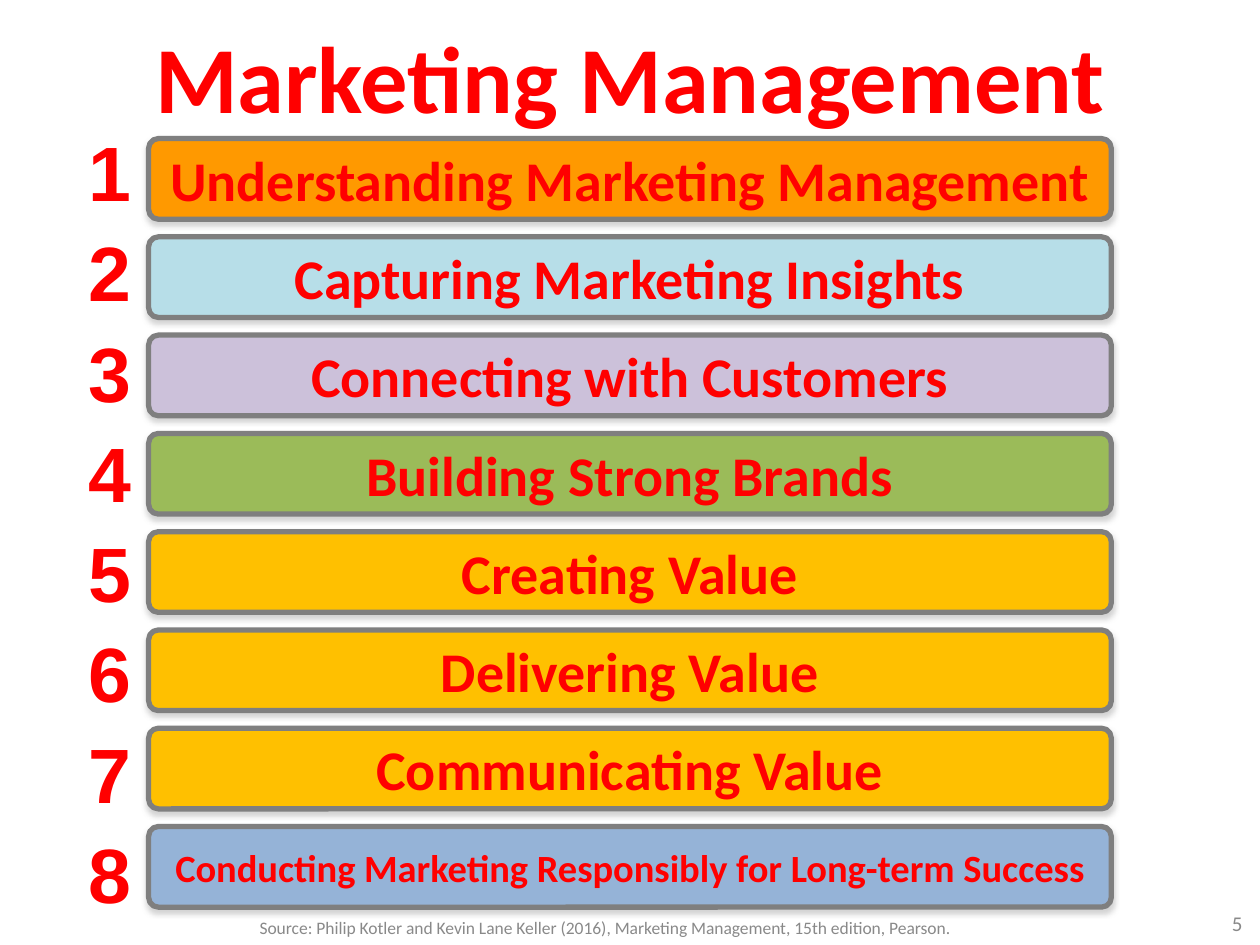
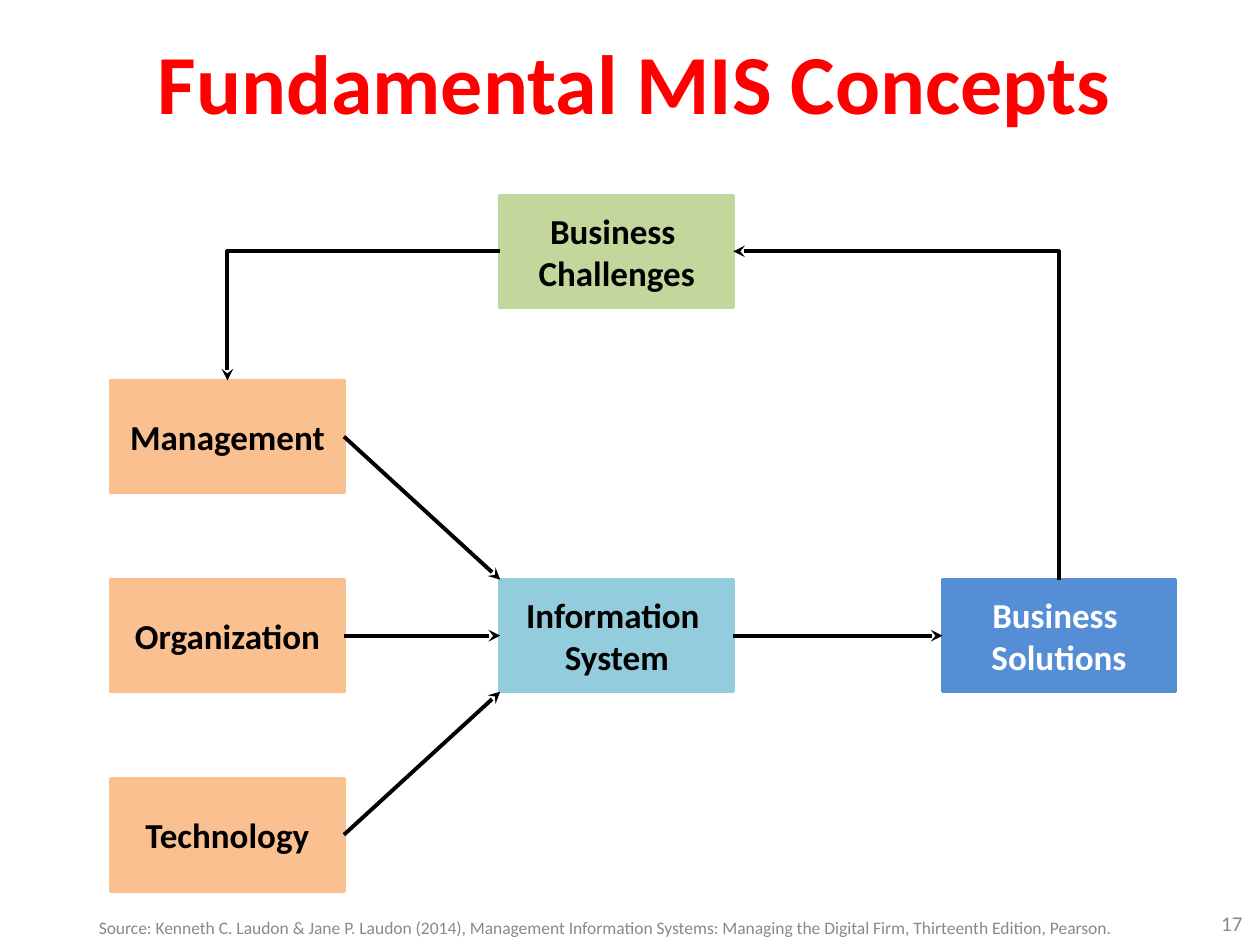
from dataclasses import dataclass

from lxml import etree
from pptx import Presentation
from pptx.dml.color import RGBColor
from pptx.enum.shapes import MSO_CONNECTOR, MSO_SHAPE
from pptx.enum.text import MSO_ANCHOR, MSO_AUTO_SIZE, PP_ALIGN
from pptx.oxml.ns import qn
from pptx.util import Inches, Pt

LEFT, CENTER, RIGHT = PP_ALIGN.LEFT, PP_ALIGN.CENTER, PP_ALIGN.RIGHT
TOP, MIDDLE = MSO_ANCHOR.TOP, MSO_ANCHOR.MIDDLE
NO_FIT, GROW = MSO_AUTO_SIZE.NONE, MSO_AUTO_SIZE.SHAPE_TO_FIT_TEXT
RECTANGLE, ROUNDED = MSO_SHAPE.RECTANGLE, MSO_SHAPE.ROUNDED_RECTANGLE
STRAIGHT, ELBOW = MSO_CONNECTOR.STRAIGHT, MSO_CONNECTOR.ELBOW
SITE_TOP, SITE_LEFT, SITE_RIGHT = 0, 1, 3

COLUMNS, ROWS = 100, 75
CELL = Inches(10) / COLUMNS
TITLE_ONLY = 5

RED, GRAY, BLACK, WHITE = "FF0000", "898989", "000000", "FFFFFF"
BAR_BORDER, SHADOW = "7F7F7F", "808080"
ORANGE, YELLOW, PEACH = "FF9900", "FFC000", "FAC090"
PALE_BLUE, LILAC, GREEN, STEEL = "B7DEE8", "CCC1DA", "9BBB59", "95B3D7"
AQUA, LIGHT_GREEN, BLUE = "93CDDD", "C3D69B", "558ED5"


@dataclass
class Box:
    left: float
    top: float
    width: float
    height: float

    @property
    def right(self):
        return self.left + self.width

    @property
    def bottom(self):
        return self.top + self.height

    @property
    def center(self):
        return self.left + self.width / 2

    @property
    def middle(self):
        return self.top + self.height / 2

    def lengths(self):
        return [cells(value) for value in (self.left, self.top, self.width, self.height)]


PAGE_NUMBER_BOX = Box(76.3, 71.3, 23.3, 4)
SOURCE_BOX = Box(5.1, 72.2, 85.8, 2.8)

PARTS = [
    ("Understanding Marketing Management", ORANGE, 32),
    ("Capturing Marketing Insights", PALE_BLUE, 32),
    ("Connecting with Customers", LILAC, 32),
    ("Building Strong Brands", GREEN, 32),
    ("Creating Value", YELLOW, 32),
    ("Delivering Value", YELLOW, 32),
    ("Communicating Value", YELLOW, 32),
    ("Conducting Marketing Responsibly for Long-term Success", STEEL, 22),
]


def cells(count):
    return round(count * CELL)


def color(hex_string):
    return RGBColor.from_string(hex_string)


def write(shape, text, size, hex_color, font="Calibri", bold=False, align=CENTER,
          anchor=MIDDLE, wrap=True, fit=NO_FIT, inset=None):
    frame = shape.text_frame
    frame.word_wrap = wrap
    frame.auto_size = fit
    frame.vertical_anchor = anchor
    if inset is not None:
        frame.margin_left = frame.margin_right = cells(inset)
        frame.margin_top = frame.margin_bottom = cells(inset)
    paragraph = frame.paragraphs[0]
    paragraph.text = text
    paragraph.alignment = align
    for run in paragraph.runs:
        run.font.name = font
        run.font.size = Pt(size)
        run.font.bold = bold
        run.font.color.rgb = color(hex_color)


def add_text(slide, box, text, **text_format):
    write(slide.shapes.add_textbox(*box.lengths()), text, **text_format)


def add_filled(slide, kind, box, fill, border, border_width):
    shape = slide.shapes.add_shape(kind, *box.lengths())
    shape.shadow.inherit = False
    shape.fill.solid()
    shape.fill.fore_color.rgb = color(fill)
    shape.line.color.rgb = color(border)
    shape.line.width = Pt(border_width)
    return shape


def add_shadow(shape):
    effects = shape._element.spPr.find(qn("a:effectLst"))
    outer = etree.SubElement(effects, qn("a:outerShdw"), blurRad=str(Pt(3.1)),
                             dist=str(Pt(1.8)), dir="5400000", rotWithShape="0")
    shade = etree.SubElement(outer, qn("a:srgbClr"), val=SHADOW)
    etree.SubElement(shade, qn("a:alpha"), val="35000")


def add_arrow(slide, start, end, kind=STRAIGHT, arrow_end="a:tailEnd"):
    connector = slide.shapes.add_connector(kind, *map(cells, (*start, *end)))
    connector.line.color.rgb = color(BLACK)
    connector.line.width = Pt(2.25)
    properties = connector._element.spPr
    etree.SubElement(properties.find(qn("a:ln")), qn(arrow_end), type="stealth")
    etree.SubElement(properties, qn("a:effectLst"))
    return connector


def add_corner_arrow(slide, side, top, side_site, arrow_end):
    side_shape, side_box = side
    top_shape, top_box = top
    edge = side_box.left if side_site == SITE_LEFT else side_box.right
    connector = add_arrow(slide, (edge, side_box.middle), (top_box.center, top_box.top),
                          ELBOW, arrow_end)
    connector._element.spPr.find(qn("a:prstGeom")).set("prst", "bentConnector2")
    connector.begin_connect(side_shape, side_site)
    connector.end_connect(top_shape, SITE_TOP)


def add_slide(presentation, title, title_box, title_size, page, source):
    slide = presentation.slides.add_slide(presentation.slide_layouts[TITLE_ONLY])
    heading = slide.shapes.title
    heading.left, heading.top, heading.width, heading.height = title_box.lengths()
    write(heading, title, size=title_size, hex_color=RED, bold=True)
    add_text(slide, PAGE_NUMBER_BOX, page, size=12, hex_color=GRAY, align=RIGHT)
    add_text(slide, SOURCE_BOX, source, size=10, hex_color=GRAY)
    return slide


def add_bars(slide, box):
    bar_height = 6.4
    pitch = (box.height - bar_height) / (len(PARTS) - 1)
    for index, (name, fill, size) in enumerate(PARTS):
        bar_box = Box(box.left, box.top + index * pitch, box.width, bar_height)
        bar = add_filled(slide, ROUNDED, bar_box, fill, BAR_BORDER, 3)
        bar.adjustments[0] = 0.12
        add_shadow(bar)
        write(bar, name, size=size, hex_color=RED, bold=True, inset=0)


def add_numbers(slide, box):
    number_height = 8.4
    pitch = (box.height - number_height) / (len(PARTS) - 1)
    for index in range(len(PARTS)):
        number_box = Box(box.left, box.top + index * pitch, box.width, number_height)
        add_text(slide, number_box, str(index + 1), size=44, hex_color=RED, font="Arial",
                 bold=True, align=LEFT, anchor=TOP, wrap=False, fit=GROW)


def add_concept_map(slide, box):
    node_width, node_height, pitch = 18.5, 8.9, 15.8
    columns = [box.left, box.left + 30.9, box.right - node_width]
    last_row = box.bottom - node_height
    rows = [box.top, last_row - 2 * pitch, last_row - pitch, last_row]

    def add_node(text, column, row, fill, text_color=BLACK):
        node_box = Box(columns[column], rows[row], node_width, node_height)
        node = add_filled(slide, RECTANGLE, node_box, fill, fill, 2)
        write(node, text, size=20, hex_color=text_color, bold=True, inset=0.4)
        return node, node_box

    management = add_node("Management", 0, 1, PEACH)
    organization = add_node("Organization", 0, 2, PEACH)
    technology = add_node("Technology", 0, 3, PEACH)
    system = add_node("Information \nSystem", 1, 2, AQUA)
    challenges = add_node("Business \nChallenges", 1, 0, LIGHT_GREEN)
    solutions = add_node("Business \nSolutions", 2, 2, BLUE, WHITE)

    system_box = system[1]
    targets = (system_box.top, system_box.middle, system_box.bottom)
    for (_, node_box), target in zip((management, organization, technology), targets):
        add_arrow(slide, (node_box.right, node_box.middle), (system_box.left, target))
    add_arrow(slide, (system_box.right, system_box.middle),
              (solutions[1].left, solutions[1].middle))
    add_corner_arrow(slide, challenges, solutions, SITE_RIGHT, "a:headEnd")
    add_corner_arrow(slide, challenges, management, SITE_LEFT, "a:tailEnd")


def main():
    presentation = Presentation()
    presentation.slide_width = cells(COLUMNS)
    presentation.slide_height = cells(ROWS)

    marketing = add_slide(
        presentation, "Marketing Management", Box(5, 2, 90, 8), 54, "5",
        "Source: Philip Kotler and Kevin Lane Keller (2016), Marketing Management, "
        "15th edition, Pearson.")
    add_bars(marketing, Box(11.8, 11, 76.4, 61))
    add_numbers(marketing, Box(6, 9.4, 5.5, 64.1))

    concepts = add_slide(
        presentation, "Fundamental MIS Concepts", Box(3.5, 0.5, 93.7, 11.8), 48, "17",
        "Source: Kenneth C. Laudon & Jane P. Laudon (2014), Management Information Systems: "
        "Managing the Digital Firm, Thirteenth Edition, Pearson.")
    add_concept_map(concepts, Box(8.8, 15.5, 84.5, 55.2))

    presentation.save("out.pptx")


if __name__ == "__main__":
    main()
